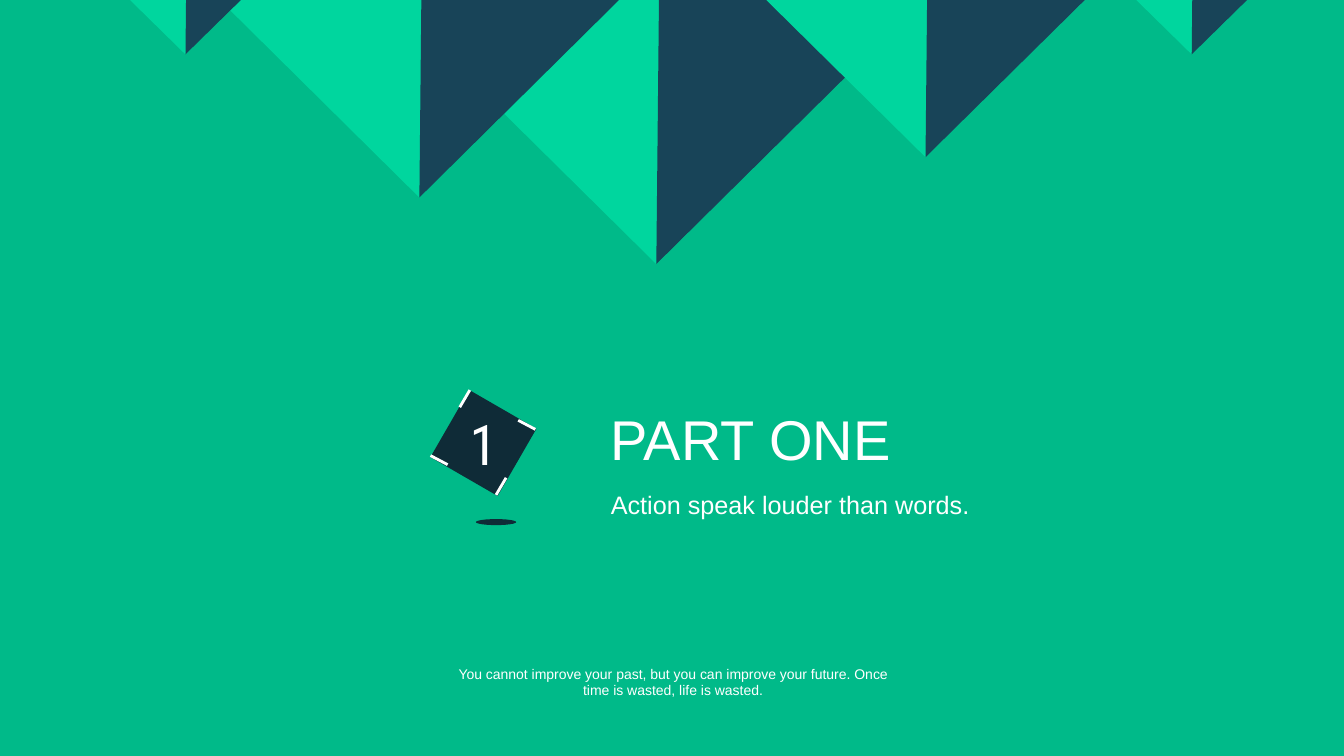
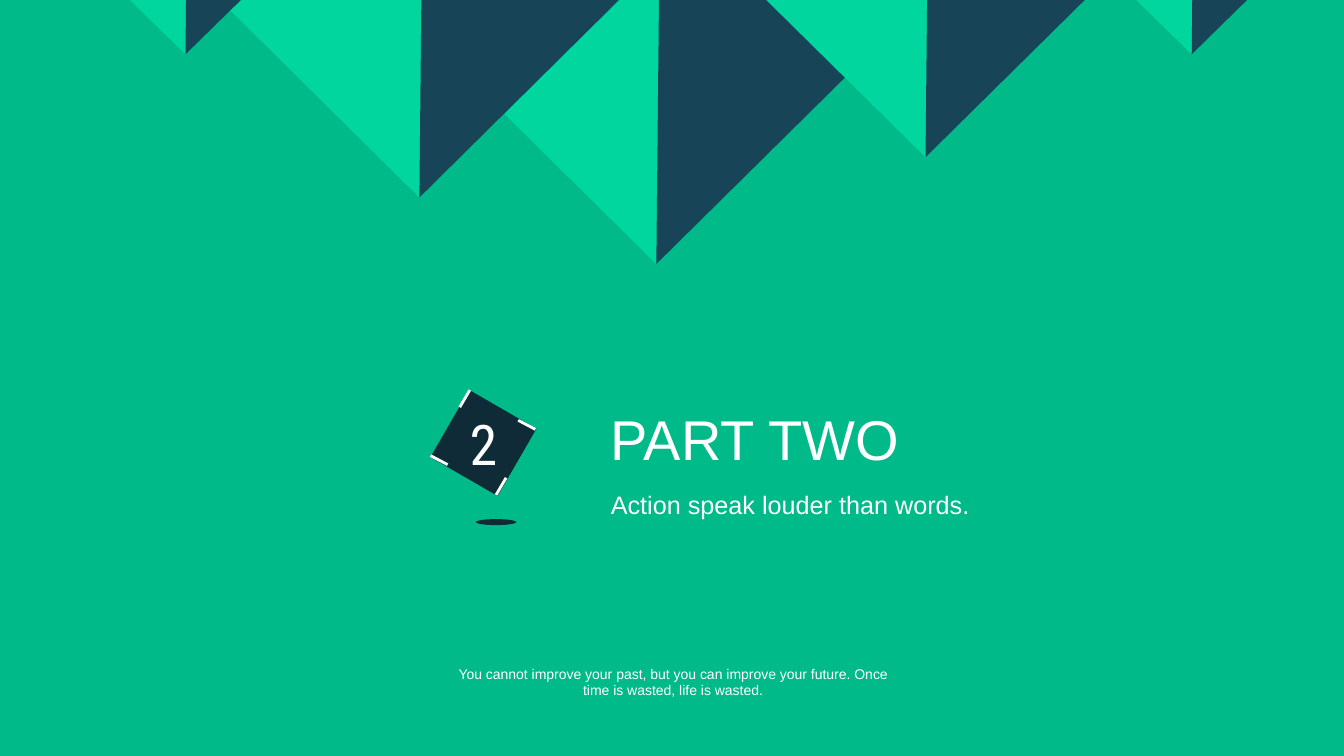
from lxml import etree
from pptx import Presentation
from pptx.dml.color import RGBColor
from pptx.enum import shapes, text
from pptx.oxml.ns import qn
from pptx.util import Inches, Pt

PARTS = [("1", "PART ONE"), ("2", "PART TWO")]
SUBTITLE = "Action speak louder than words."
QUOTE = ("You cannot improve your past, but you can improve your future. "
         "Once time is wasted, life is wasted.")

GREEN = RGBColor(0x00, 0xBA, 0x89)
MINT = RGBColor(0x00, 0xD6, 0x9E)
NAVY = RGBColor(0x18, 0x44, 0x58)
INK = RGBColor(0x0F, 0x2B, 0x37)
WHITE = RGBColor(0xFF, 0xFF, 0xFF)

PEAK_TOP = -0.02
PEAK_SLANT = 0.01
PEAKS = [(3.84, 5.34, 2.64), (7.58, 3.2, 1.58), (2.16, 4, 1.98),
         (11.25, 1.14, 0.56), (1.27, 1.14, 0.56)]
EDGE_MARKS = [(5.14, 4.17, 5.31, 4.26), (4.27, 4.52, 4.44, 4.61),
              (4.66, 3.87, 4.56, 4.04), (5.02, 4.74, 4.92, 4.91)]


def paint(shape, color):
    shape.shadow.inherit = False
    shape.fill.solid()
    shape.fill.fore_color.rgb = color
    shape.line.fill.background()


def add_shape(parent, kind, area, color, rotation=0):
    shape = parent.shapes.add_shape(kind, *map(Inches, area))
    shape.rotation = rotation
    paint(shape, color)


def add_text(parent, words, area, size, font="Arial", align=text.PP_ALIGN.LEFT, wrap=True):
    box = parent.shapes.add_textbox(*map(Inches, area))
    frame = box.text_frame
    frame.word_wrap = wrap
    frame.auto_size = text.MSO_AUTO_SIZE.SHAPE_TO_FIT_TEXT
    para = frame.paragraphs[0]
    para.alignment = align
    span = para.add_run()
    span.text = words
    span.font.name = font
    span.font.size = Pt(size)
    span.font.color.rgb = WHITE


def add_mark(parent, ends):
    mark = parent.shapes.add_connector(shapes.MSO_CONNECTOR.STRAIGHT, *map(Inches, ends))
    mark.line.color.rgb = WHITE
    mark.line.width = Pt(2)
    etree.SubElement(mark._element.spPr, qn("a:effectLst"))


def add_badge(page, number):
    badge = page.shapes.add_group_shape()
    add_shape(badge, shapes.MSO_SHAPE.RECTANGLE, (4.41, 4.01, 0.77, 0.77), INK, 30)
    for ends in EDGE_MARKS:
        add_mark(badge, ends)
    add_text(badge, number, (4.56, 4.01, 0.55, 0.77), 40, font="Roboto Condensed")
    add_shape(page, shapes.MSO_SHAPE.OVAL, (4.72, 5.15, 0.4, 0.06), INK)


def add_peaks(page):
    band = page.shapes.add_group_shape()
    for left, width, height in PEAKS:
        add_shape(band, shapes.MSO_SHAPE.ISOSCELES_TRIANGLE,
                  (left, PEAK_TOP, width, height), MINT, 180)
        tip = left + width / 2
        corners = [(tip, PEAK_TOP + height), (tip + PEAK_SLANT * height, PEAK_TOP),
                   (left + width, PEAK_TOP)]
        points = [(Inches(x), Inches(y)) for x, y in corners]
        outline = band.shapes.build_freeform(*points[0])
        outline.add_line_segments(points[1:], close=True)
        paint(outline.convert_to_shape(), NAVY)


def add_part(deck, number, title):
    page = deck.slides.add_slide(deck.slide_layouts[6])
    add_badge(page, number)
    add_text(page, title, (5.96, 3.96, 3.59, 0.77), 40)
    add_text(page, SUBTITLE, (5.96, 4.81, 3.79, 0.4), 18, wrap=False)
    add_text(page, QUOTE, (4.39, 6.55, 4.57, 0.44), 10, align=text.PP_ALIGN.CENTER)
    add_peaks(page)


def main():
    deck = Presentation()
    deck.slide_width, deck.slide_height = Inches(13.33), Inches(7.5)
    backdrop = deck.slide_master.background.fill
    backdrop.solid()
    backdrop.fore_color.rgb = GREEN
    for number, title in PARTS:
        add_part(deck, number, title)
    deck.save("out.pptx")


if __name__ == "__main__":
    main()
